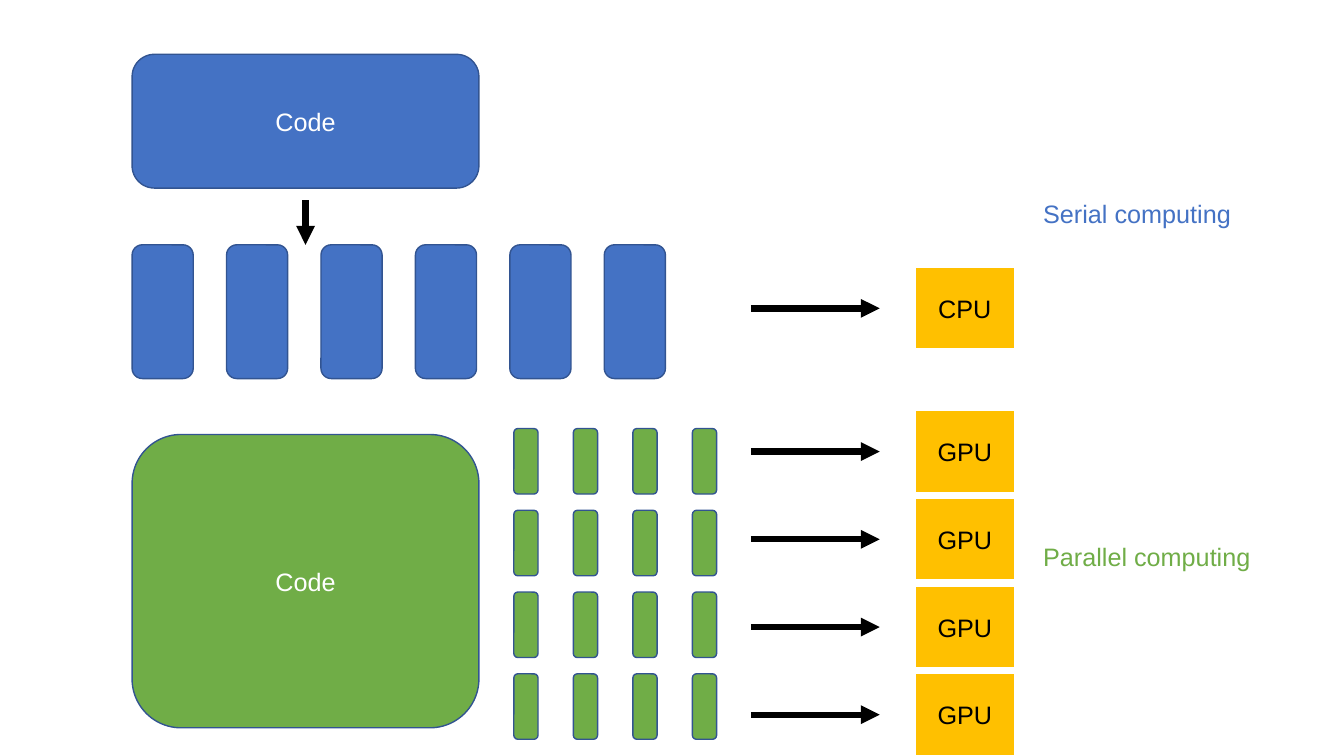
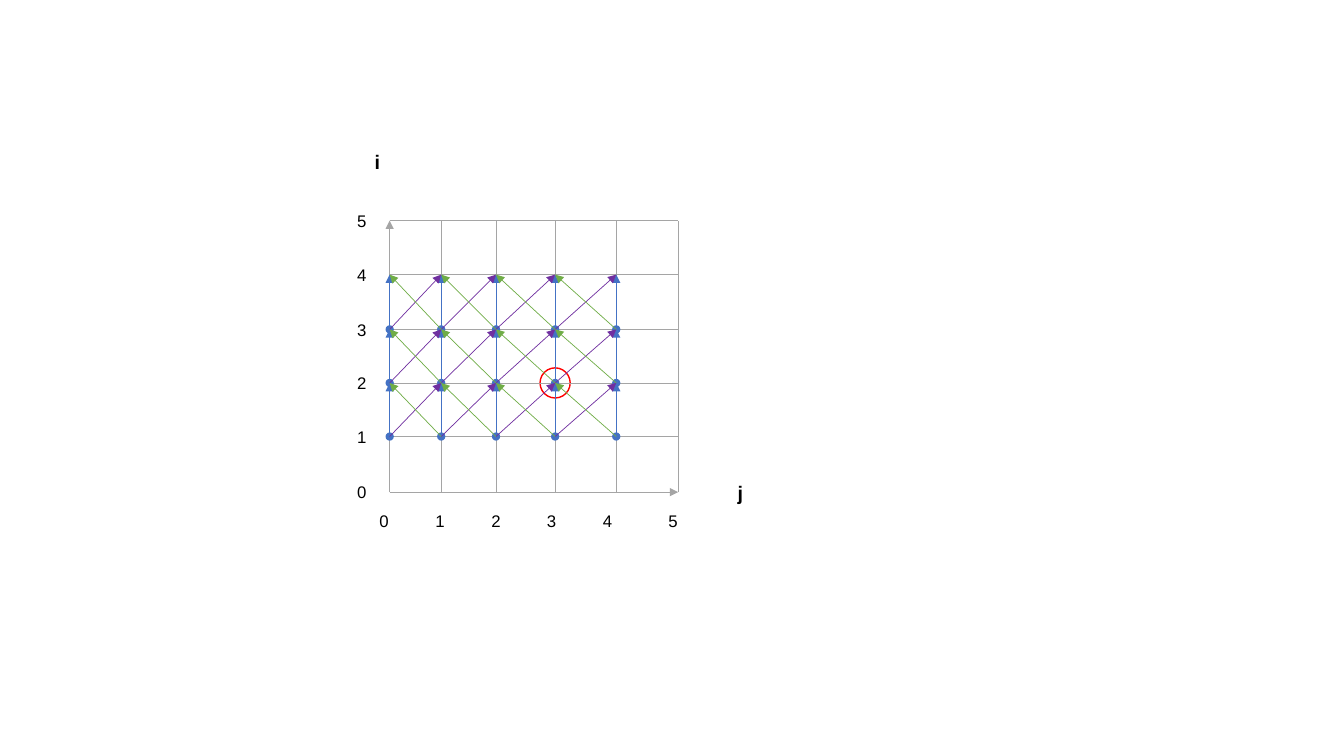
from lxml import etree
from pptx import Presentation
from pptx.dml.color import RGBColor
from pptx.enum.shapes import MSO_CONNECTOR, MSO_SHAPE
from pptx.enum.text import MSO_ANCHOR, PP_ALIGN
from pptx.oxml.ns import qn
from pptx.util import Cm, Pt

STRAIGHT = MSO_CONNECTOR.STRAIGHT
RECTANGLE = MSO_SHAPE.RECTANGLE
ROUNDED = MSO_SHAPE.ROUNDED_RECTANGLE
OVAL = MSO_SHAPE.OVAL
MIDDLE = MSO_ANCHOR.MIDDLE
CENTER = PP_ALIGN.CENTER
LEFT = PP_ALIGN.LEFT

BLACK = RGBColor(0x00, 0x00, 0x00)
WHITE = RGBColor(0xFF, 0xFF, 0xFF)
BLUE = RGBColor(0x44, 0x72, 0xC4)
DARK_BLUE = RGBColor(0x32, 0x54, 0x91)
GREEN = RGBColor(0x70, 0xAD, 0x47)
AMBER = RGBColor(0xFF, 0xC0, 0x00)
GRAY = RGBColor(0xA5, 0xA5, 0xA5)
PURPLE = RGBColor(0x70, 0x30, 0xA0)
RED = RGBColor(0xFF, 0x00, 0x00)

BODY = {"name": "Arial", "size": Pt(18), "bold": False}
TICK = {"name": "Arial", "size": Pt(12), "bold": False}
AXIS = {"name": "Arial", "size": Pt(14), "bold": True}


def add_box(slide, position, kind=None, fill=None, outline=DARK_BLUE, weight=1,
            text="", color=BLACK, font_format=BODY, align=CENTER):
    lengths = [Cm(value) for value in position]
    if kind is None:
        shape = slide.shapes.add_textbox(*lengths)
    else:
        shape = slide.shapes.add_shape(kind, *lengths)
        shape.shadow.inherit = False
        shape.fill.solid()
        shape.fill.fore_color.rgb = fill
        shape.line.color.rgb = outline
        shape.line.width = Pt(weight)
        shape.text_frame.vertical_anchor = MIDDLE
    if text:
        shape.text_frame.word_wrap = True
        paragraph = shape.text_frame.paragraphs[0]
        paragraph.alignment = align
        run = paragraph.add_run()
        run.text = text
        run.font.color.rgb = color
        for attribute, value in font_format.items():
            setattr(run.font, attribute, value)


def add_line(slide, start, end, color, weight=0.5, head=None, tail=None):
    lengths = [Cm(value) for value in (*start, *end)]
    connector = slide.shapes.add_connector(STRAIGHT, *lengths)
    connector.line.color.rgb = color
    connector.line.width = Pt(weight)
    properties = connector.element.spPr
    outline = properties.find(qn("a:ln"))
    for tag, ending in (("a:headEnd", head), ("a:tailEnd", tail)):
        if ending:
            etree.SubElement(outline, qn(tag), type=ending)
    etree.SubElement(properties, qn("a:effectLst"))


presentation = Presentation()
presentation.slide_width = Cm(33.87)
presentation.slide_height = Cm(19.05)
blank_layout = presentation.slide_layouts[6]

computing = presentation.slides.add_slide(blank_layout)

for top, height, fill in ((1.37, 3.37, BLUE), (10.95, 7.39, GREEN)):
    add_box(computing, (3.33, top, 8.74, height), ROUNDED, fill,
            text="Code", color=WHITE)

add_line(computing, (7.7, 5.05), (7.7, 6.17), BLACK, 4.5, tail="triangle")
for step in range(6):
    add_box(computing, (3.33 + step * 2.38, 6.17, 1.54, 3.37), ROUNDED, BLUE)

for column in range(4):
    for row in range(4):
        add_box(computing, (12.95 + column * 1.5, 10.8 + row * 2.06, 0.61, 1.65),
                ROUNDED, GREEN)

processors = [("CPU", 6.73)] + [("GPU", 10.34 + row * 2.21) for row in range(4)]
for name, top in processors:
    middle = top + 1.04
    add_line(computing, (18.92, middle), (22.17, middle), BLACK, 4.5, tail="triangle")
    add_box(computing, (23.06, top, 2.51, 2.08), RECTANGLE, AMBER, WHITE, 1.5, name)

for text, top, color in (("Serial computing", 4.88, BLUE),
                         ("Parallel computing", 13.52, GREEN)):
    add_box(computing, (26.04, top, 5.92, 1.02), text=text, color=color, align=LEFT)

COLUMNS = [9.82, 11.12, 12.5, 13.99, 15.53, 17.09]
ROWS = [12.4, 11, 9.65, 8.3, 6.92, 5.56]
COLUMN_LABELS = [9.68, 11.09, 12.5, 13.9, 15.31, 16.96]

dependencies = presentation.slides.add_slide(blank_layout)
add_box(dependencies, (COLUMNS[3] - 0.38, ROWS[2] - 0.38, 0.76, 0.76),
        OVAL, WHITE, RED)

for index, (x, y) in enumerate(zip(COLUMNS, ROWS)):
    tail = "triangle" if index == 0 else None
    add_line(dependencies, (x, ROWS[0]), (x, ROWS[5]), GRAY, tail=tail)
    add_line(dependencies, (COLUMNS[0], y), (COLUMNS[5], y), GRAY, tail=tail)

for x in COLUMNS[:5]:
    for start, end in zip(ROWS[1:4], ROWS[2:5]):
        add_line(dependencies, (x, start), (x, end), BLUE, head="oval", tail="triangle")

for color, rising in ((PURPLE, True), (GREEN, False)):
    for left, right in zip(COLUMNS[:4], COLUMNS[1:5]):
        origin, target = (left, right) if rising else (right, left)
        for start, end in zip(ROWS[1:4], ROWS[2:5]):
            add_line(dependencies, (origin, start), (target, end), color, tail="triangle")

for number, (x, y) in enumerate(zip(COLUMN_LABELS, ROWS)):
    for center, middle in ((x, 13.13), (9.12, y)):
        add_box(dependencies, (center - 0.45, middle - 0.38, 0.9, 0.76),
                text=str(number), font_format=TICK)

for text, left, top in (("i", 9.19, 3.66), ("j", 18.34, 11.99)):
    add_box(dependencies, (left, top, 0.86, 0.86), text=text,
            font_format=AXIS, align=LEFT)

presentation.save("out.pptx")
